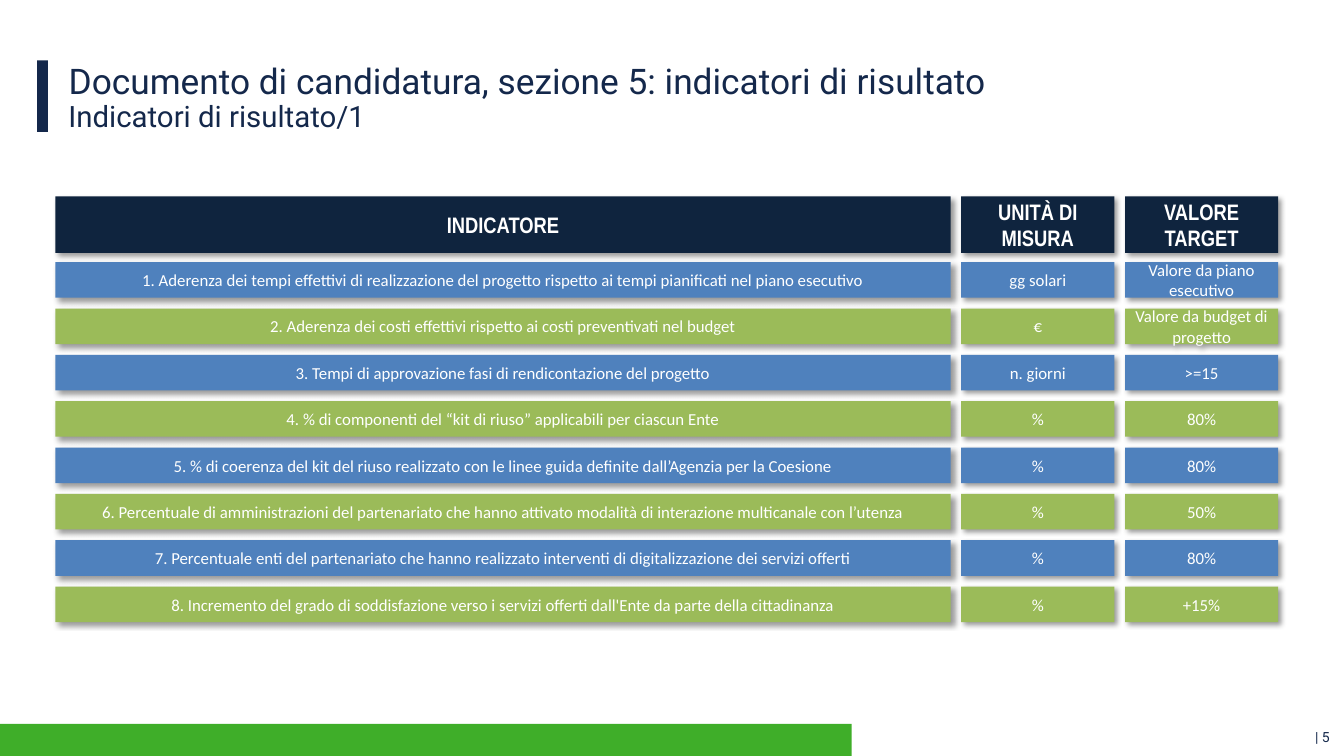
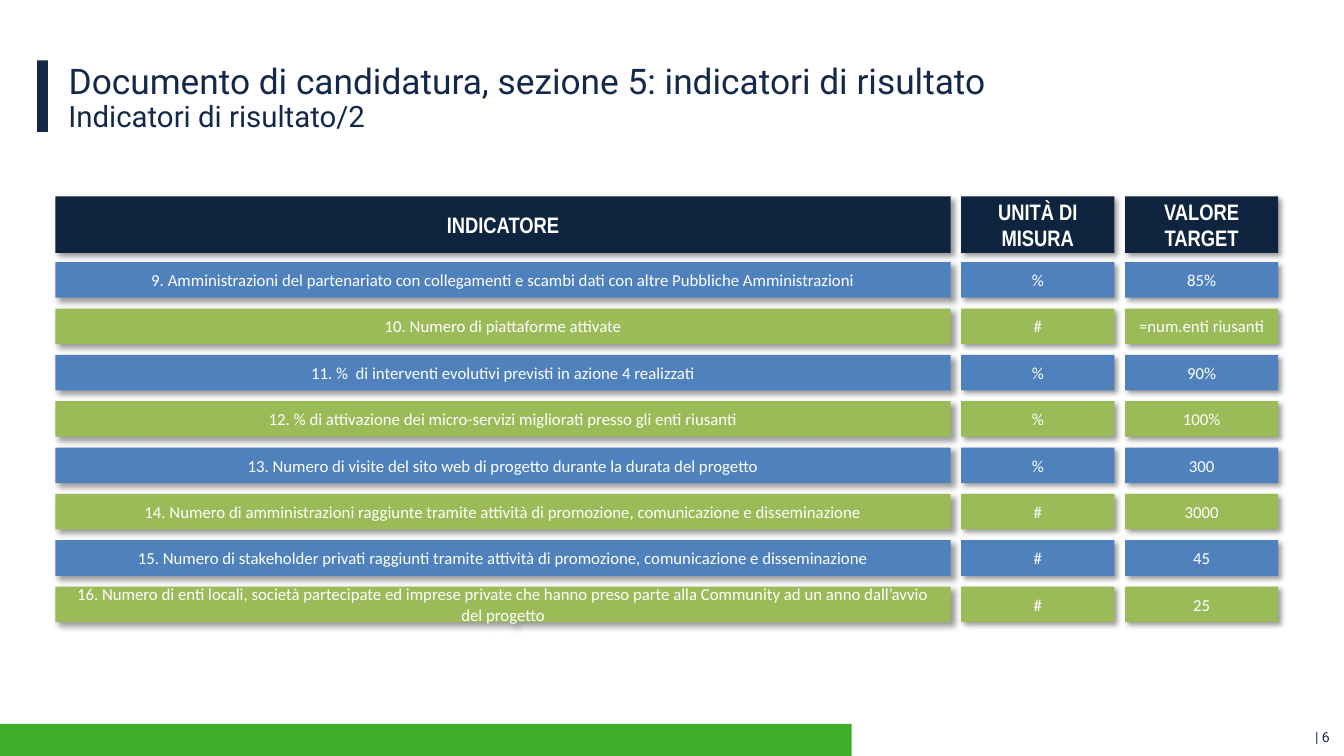
from collections import namedtuple
from dataclasses import dataclass

from lxml.etree import SubElement
from pptx import Presentation
from pptx.dml.color import RGBColor
from pptx.enum.shapes import MSO_SHAPE
from pptx.enum.text import MSO_ANCHOR, MSO_AUTO_SIZE, PP_ALIGN
from pptx.oxml.ns import qn
from pptx.util import Pt

Box = namedtuple("Box", "left top width height")
Style = namedtuple("Style", "font size color bold", defaults=[False])


@dataclass(frozen=True)
class Theme:
    navy: str = "14284B"
    green: str = "3FAE29"
    header_fill: str = "0F243E"
    row_fills: tuple = ("4F81BD", "9BBB59")
    title: Style = Style("Roboto", 25.2, "14284B")
    subtitle: Style = Style("Roboto", 21, "14284B")
    number: Style = Style("Roboto", 10, "14284B")
    header: Style = Style("Arial Narrow", 16, "FFFFFF", True)
    cell: Style = Style("Calibri", 12, "FFFFFF")


THEME = Theme()
PAGE = Box(0, 0, 960, 540)
TITLE_AREA = Box(26.6, 43.2, 879.2, 56.2)
GRID_AREA = Box(39.6, 140.2, 873.4, 304.2)

TITLE = "Documento di candidatura, sezione 5: indicatori di risultato"
HEADERS = ("INDICATORE", "UNITÀ DI MISURA", "VALORE TARGET")
FIRST_NUMBER = 5
SLIDES = [
    ("Indicatori di risultato/1", [
        ("1. Aderenza dei tempi effettivi di realizzazione del progetto rispetto ai tempi "
         "pianificati nel piano esecutivo", "gg solari", "Valore da piano esecutivo"),
        ("2. Aderenza dei costi effettivi rispetto ai costi preventivati nel budget",
         "€", "Valore da budget di progetto"),
        ("3. Tempi di approvazione fasi di rendicontazione del progetto", "n. giorni", ">=15"),
        ("4. % di componenti del “kit di riuso” applicabili per ciascun Ente", "%", "80%"),
        ("5. % di coerenza del kit del riuso realizzato con le linee guida definite "
         "dall’Agenzia per la Coesione", "%", "80%"),
        ("6. Percentuale di amministrazioni del partenariato che hanno attivato modalità "
         "di interazione multicanale con l’utenza", "%", "50%"),
        ("7. Percentuale enti del partenariato che hanno realizzato interventi di "
         "digitalizzazione dei servizi offerti", "%", "80%"),
        ("8. Incremento del grado di soddisfazione verso i servizi offerti dall'Ente "
         "da parte della cittadinanza", "%", "+15%"),
    ]),
    ("Indicatori di risultato/2", [
        ("9. Amministrazioni del partenariato con collegamenti e scambi dati con altre "
         "Pubbliche Amministrazioni", "%", "85%"),
        ("10. Numero di piattaforme attivate", "#", "=num.enti riusanti"),
        ("11. %  di interventi evolutivi previsti in azione 4 realizzati", "%", "90%"),
        ("12. % di attivazione dei micro-servizi migliorati presso gli enti riusanti",
         "%", "100%"),
        ("13. Numero di visite del sito web di progetto durante la durata del progetto",
         "%", "300"),
        ("14. Numero di amministrazioni raggiunte tramite attività di promozione, "
         "comunicazione e disseminazione", "#", "3000"),
        ("15. Numero di stakeholder privati raggiunti tramite attività di promozione, "
         "comunicazione e disseminazione", "#", "45"),
        ("16. Numero di enti locali, società partecipate ed imprese private che hanno preso "
         "parte alla Community ad un anno dall’avvio del progetto", "#", "25"),
    ]),
]


def write(shape, text, style, align=PP_ALIGN.LEFT, anchor=MSO_ANCHOR.MIDDLE):
    frame = shape.text_frame
    frame.text = text
    frame.word_wrap = True
    frame.auto_size = MSO_AUTO_SIZE.NONE
    frame.vertical_anchor = anchor
    para = frame.paragraphs[0]
    para.alignment = align
    para.font.name = style.font
    para.font.size = Pt(style.size)
    para.font.bold = style.bold
    para.font.color.rgb = RGBColor.from_string(style.color)
    return para


def add_text(page, box, text, style, **layout):
    shape = page.shapes.add_textbox(*map(Pt, box))
    return write(shape, text, style, **layout)


def add_band(page, box, fill):
    band = page.shapes.add_shape(MSO_SHAPE.RECTANGLE, *map(Pt, box))
    band.fill.solid()
    band.fill.fore_color.rgb = RGBColor.from_string(fill)
    band.line.fill.background()
    band.shadow.inherit = False
    return band


def add_cell(page, box, text, fill, style):
    cell = add_band(page, box, fill)
    write(cell, text, style, align=PP_ALIGN.CENTER)
    # Soft shadow towards the lower right
    effects = cell._element.spPr.find(qn("a:effectLst"))
    shadow = SubElement(effects, qn("a:outerShdw"), blurRad=str(Pt(4)), dist=str(Pt(3)),
                        dir="2700000", algn="tl", rotWithShape="0")
    color = SubElement(shadow, qn("a:srgbClr"), val="000000")
    SubElement(color, qn("a:alpha"), val="40000")


def add_footer(page, area, number):
    bottom = area.top + area.height
    add_band(page, Box(area.left, bottom - 23, 608.4, 23), THEME.green)
    add_text(page, Box(area.left + area.width - 230.6, bottom - 23, 227.5, 19.4),
             f"| {number}", THEME.number, align=PP_ALIGN.RIGHT, anchor=MSO_ANCHOR.TOP)


def add_titles(page, area, subtitle):
    add_band(page, Box(area.left, area.top, 7.6, 51.1), THEME.navy)
    indent, height = 15.2, area.height / 2
    line = Box(area.left + indent, area.top, area.width - indent, height)
    title = page.shapes.title
    title.left, title.top, title.width, title.height = map(Pt, line)
    write(title, TITLE, THEME.title)
    para = add_text(page, line._replace(top=area.top + height), subtitle, THEME.subtitle)
    para.line_spacing = 0.8


def add_grid(page, area, rows):
    narrow, gap = 109.4, 7.6
    wide = area.width - 2 * narrow - 2 * gap
    header_height, row_height, pitch = 40.4, 25.4, 33.1
    first_top = area.top + area.height - row_height - pitch * (len(rows) - 1)

    def add_row(top, height, texts, fill, style):
        left = area.left
        for text, width in zip(texts, (wide, narrow, narrow)):
            add_cell(page, Box(left, top, width, height), text, fill, style)
            left += width + gap

    add_row(area.top, header_height, HEADERS, THEME.header_fill, THEME.header)
    for index, texts in enumerate(rows):
        fill = THEME.row_fills[index % 2]
        add_row(first_top + index * pitch, row_height, texts, fill, THEME.cell)


def add_indicator_slide(deck, number, subtitle, rows):
    page = deck.slides.add_slide(deck.slide_layouts.get_by_name("Title Only"))
    add_footer(page, PAGE, number)
    add_titles(page, TITLE_AREA, subtitle)
    add_grid(page, GRID_AREA, rows)


def main():
    deck = Presentation()
    deck.slide_width, deck.slide_height = Pt(PAGE.width), Pt(PAGE.height)
    for number, (subtitle, rows) in enumerate(SLIDES, FIRST_NUMBER):
        add_indicator_slide(deck, number, subtitle, rows)
    deck.save("out.pptx")


if __name__ == "__main__":
    main()
